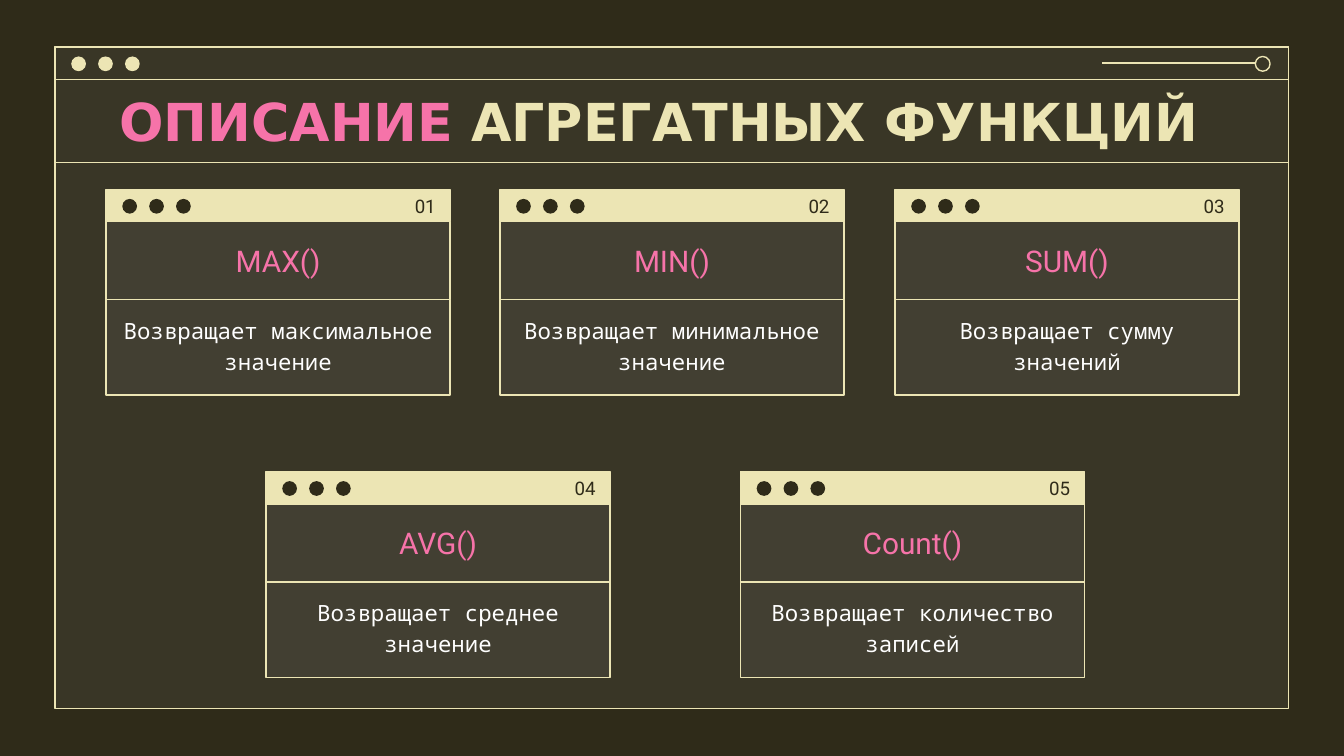
from dataclasses import dataclass

from lxml import etree
from pptx import Presentation
from pptx.dml.color import RGBColor
from pptx.enum import shapes, text
from pptx.oxml import ns
from pptx.util import Inches, Pt


@dataclass(frozen=True)
class Theme:
    dark: str = "2F2B19"
    cream: str = "ECE5B4"
    pink: str = "F673A9"
    white: str = "FFFFFF"
    haze: str = "7C7C7C"
    haze_alpha: int = 14
    title_font: str = "DejaVu Sans"
    label_font: str = "Roboto"
    body_font: str = "Noto Sans Mono"
    title_size: int = 28
    name_size: int = 16
    body_size: int = 12
    number_size: int = 10
    line_width: float = 0.75


THEME = Theme()
SLIDE_W = 10
SLIDE_H = SLIDE_W * 9 / 16
CARD_W, BAR_H, NAME_H, BODY_H = 2.56, 0.24, 0.58, 0.71
DOT, DOT_STEP = 0.11, 0.2
TOP_ROW, BOTTOM_ROW = 1.41, 3.51
CARDS = [
    (0.79, TOP_ROW, "MAX()", "Возвращает максимальное значение"),
    (3.72, TOP_ROW, "MIN()", "Возвращает минимальное значение"),
    (6.66, TOP_ROW, "SUM()", "Возвращает сумму значений"),
    (1.98, BOTTOM_ROW, "AVG()", "Возвращает среднее значение"),
    (5.51, BOTTOM_ROW, "Count()", "Возвращает количество записей"),
]


def rgb(color):
    return RGBColor.from_string(color)


def set_outline(line):
    line.color.rgb = rgb(THEME.cream)
    line.width = Pt(THEME.line_width)


def add_box(slide, left, top, width, height, fill=None, outlined=False,
            kind=shapes.MSO_SHAPE.RECTANGLE):
    box = slide.shapes.add_shape(
        kind, Inches(left), Inches(top), Inches(width), Inches(height))
    box.shadow.inherit = False
    if fill:
        box.fill.solid()
        box.fill.fore_color.rgb = rgb(fill)
    else:
        box.fill.background()
    if outlined:
        set_outline(box.line)
    else:
        box.line.fill.background()
    return box


def add_haze(slide, left, top, width, height):
    """Add a translucent backing panel."""
    panel = add_box(slide, left, top, width, height, THEME.haze)
    color = panel.element.spPr.find(".//" + ns.qn("a:srgbClr"))
    etree.SubElement(color, ns.qn("a:alpha"), val=str(THEME.haze_alpha * 1000))


def add_dot(slide, left, top, fill=None, outlined=False):
    add_box(slide, left, top, DOT, DOT, fill, outlined, shapes.MSO_SHAPE.OVAL)


def add_window_dots(slide, left, top, color):
    for i in range(3):
        add_dot(slide, left + i * DOT_STEP, top, color)


def add_rule(slide, left, right, y):
    rule = slide.shapes.add_connector(
        shapes.MSO_CONNECTOR.STRAIGHT,
        Inches(left), Inches(y), Inches(right), Inches(y))
    set_outline(rule.line)
    etree.SubElement(rule.element.spPr, ns.qn("a:effectLst"))


def format_frame(frame, anchor):
    frame.word_wrap = True
    frame.auto_size = text.MSO_AUTO_SIZE.NONE
    frame.vertical_anchor = anchor
    frame.margin_left = frame.margin_right = Inches(0.1)
    frame.margin_top = frame.margin_bottom = Inches(0.1)


def format_font(font, name, size, color, bold=False):
    font.name = name
    font.size = Pt(size)
    font.color.rgb = rgb(color)
    font.bold = bold


def write(shape, wording, font, size, color, align=text.PP_ALIGN.CENTER,
          anchor=text.MSO_ANCHOR.MIDDLE):
    """Fill a shape with one formatted paragraph and return it."""
    frame = shape.text_frame
    format_frame(frame, anchor)
    frame.text = wording
    paragraph = frame.paragraphs[0]
    paragraph.alignment = align
    format_font(paragraph.runs[0].font, font, size, color)
    return paragraph


def add_main_window(slide):
    left, top, width, height = 0.41, 0.35, 9.18, 4.92
    add_haze(slide, left, top, width, height)
    add_box(slide, left, top, width, height, outlined=True)
    add_box(slide, left, top, width, BAR_H, outlined=True)
    add_window_dots(slide, 0.53, 0.42, THEME.cream)
    add_dot(slide, 9.34, 0.42, outlined=True)
    add_rule(slide, 8.2, 9.34, 0.47)
    add_rule(slide, left, left + width, 1.21)


def add_title(slide):
    title = slide.shapes.title
    title.left, title.top = Inches(0.79), Inches(0.59)
    title.width, title.height = Inches(8.43), Inches(0.62)
    format_frame(title.text_frame, text.MSO_ANCHOR.MIDDLE)
    paragraph = title.text_frame.paragraphs[0]
    paragraph.alignment = text.PP_ALIGN.LEFT
    for wording, color in (("ОПИСАНИЕ ", THEME.pink),
                           ("АГРЕГАТНЫХ ФУНКЦИЙ", THEME.cream)):
        run = paragraph.add_run()
        run.text = wording
        format_font(run.font, THEME.title_font, THEME.title_size, color, True)
    # The title stands in front of the window panel.
    slide.shapes.element.append(title.element)


def add_card(slide, number, left, top, name, description):
    name_top = top + BAR_H
    body_top = name_top + NAME_H
    add_haze(slide, left, top, CARD_W, BAR_H + NAME_H + BODY_H)
    add_box(slide, left, top, CARD_W, BAR_H, THEME.cream, outlined=True)
    add_window_dots(slide, left + 0.12, top + 0.07, THEME.dark)

    name_box = add_box(slide, left, name_top, CARD_W, NAME_H, outlined=True)
    write(name_box, name, THEME.label_font, THEME.name_size, THEME.pink)

    body_box = add_box(slide, left, body_top, CARD_W, BODY_H, outlined=True)
    body = write(body_box, description, THEME.body_font, THEME.body_size,
                 THEME.white, anchor=text.MSO_ANCHOR.TOP)
    body.line_spacing = 1.15

    number_box = slide.shapes.add_textbox(
        Inches(left + 1.16), Inches(top), Inches(1.39), Inches(BAR_H))
    write(number_box, f"{number:02}", THEME.label_font, THEME.number_size,
          THEME.dark, align=text.PP_ALIGN.RIGHT)


def main():
    deck = Presentation()
    deck.slide_width, deck.slide_height = Inches(SLIDE_W), Inches(SLIDE_H)
    slide = deck.slides.add_slide(deck.slide_layouts.get_by_name("Title Only"))
    slide.background.fill.solid()
    slide.background.fill.fore_color.rgb = rgb(THEME.dark)
    add_main_window(slide)
    add_title(slide)
    for number, card in enumerate(CARDS, start=1):
        add_card(slide, number, *card)
    deck.save("out.pptx")


if __name__ == "__main__":
    main()
